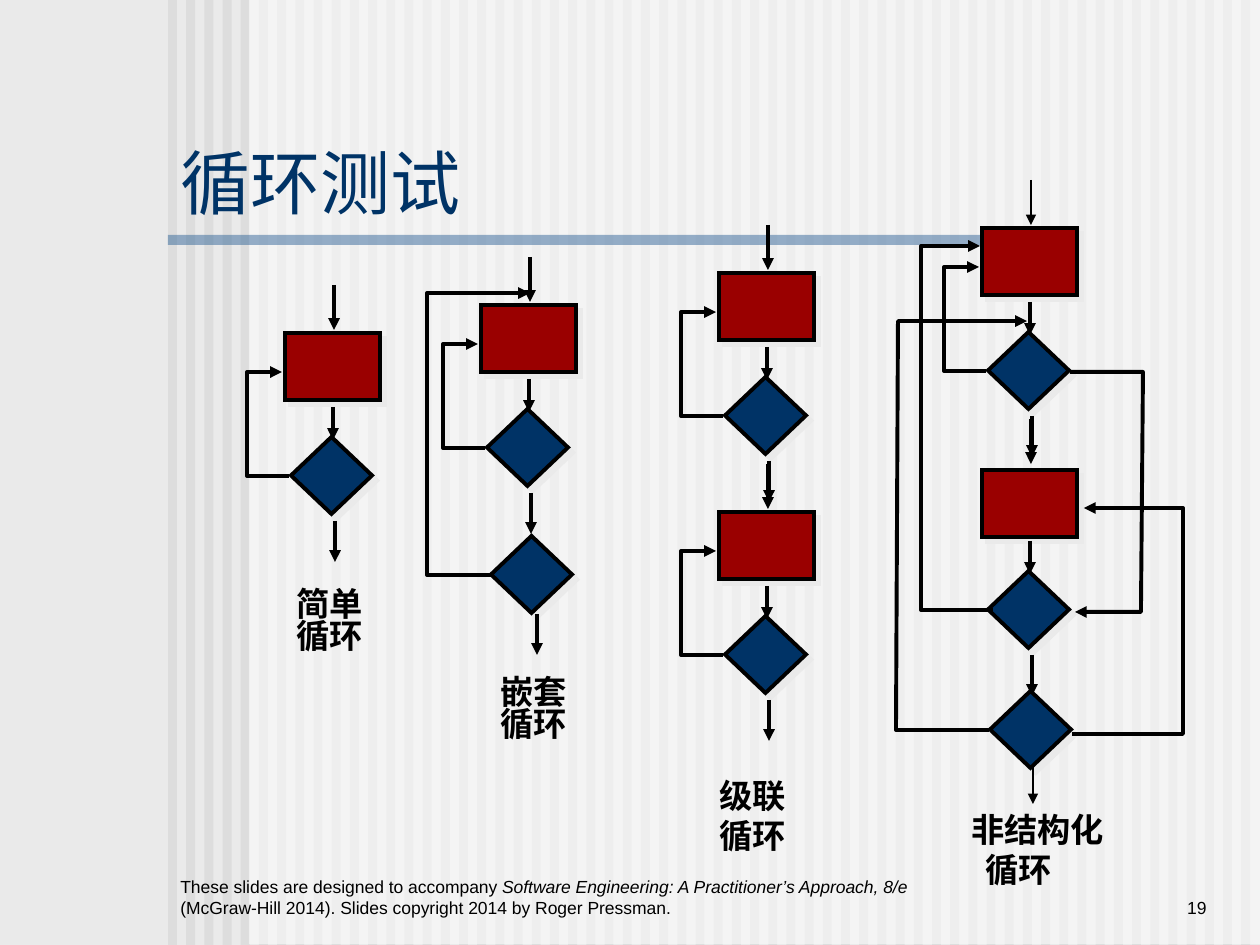
from lxml import etree
from pptx import Presentation
from pptx.dml.color import RGBColor
from pptx.enum.lang import MSO_LANGUAGE_ID
from pptx.enum.shapes import MSO_CONNECTOR, MSO_SHAPE
from pptx.enum.text import MSO_ANCHOR, PP_ALIGN
from pptx.oxml.ns import qn
from pptx.util import Pt

RECTANGLE, DIAMOND = MSO_SHAPE.RECTANGLE, MSO_SHAPE.DIAMOND
STRAIGHT = MSO_CONNECTOR.STRAIGHT
TOP, MIDDLE, BOTTOM = MSO_ANCHOR.TOP, MSO_ANCHOR.MIDDLE, MSO_ANCHOR.BOTTOM
LEFT, CENTER, RIGHT = PP_ALIGN.LEFT, PP_ALIGN.CENTER, PP_ALIGN.RIGHT
CHINESE = MSO_LANGUAGE_ID.SIMPLIFIED_CHINESE

BLACK = RGBColor(0x00, 0x00, 0x00)
WHITE = RGBColor(0xFF, 0xFF, 0xFF)
PALE_GRAY = RGBColor(0xEA, 0xEA, 0xEA)
STRIPE_GRAY = RGBColor(0xDD, 0xDD, 0xDD)
RULE_BLUE = RGBColor(0x33, 0x66, 0x99)
NAVY = RGBColor(0x00, 0x33, 0x66)
RED = RGBColor(0x9A, 0x00, 0x00)

EMU_PER_PX = 914400 / 126
WIDTH, HEIGHT = 1260, 945
THICK, THIN = 2.25, 1
FONT = "Arial"


def px(length):
    return round(length * EMU_PER_PX)


def add_text(slide, box, paragraphs, size=10, color=BLACK, bold=False, italic_run=None,
             align=LEFT, anchor=TOP, spacing=None, wrap=True, indents=None, language=None):
    """Each paragraph is a list of runs; indents gives one left margin per paragraph."""
    frame = slide.shapes.add_textbox(*map(px, box)).text_frame
    frame.word_wrap = wrap
    frame.vertical_anchor = anchor
    for index, runs in enumerate(paragraphs):
        paragraph = frame.add_paragraph() if index else frame.paragraphs[0]
        paragraph.alignment = align
        if spacing:
            paragraph.line_spacing = spacing
        if indents:
            paragraph._p.get_or_add_pPr().set("marL", str(px(indents[index])))
        for number, text in enumerate(runs):
            run = paragraph.add_run()
            run.text = text
            font = run.font
            font.name, font.size, font.bold = FONT, Pt(size), bold
            font.italic = number == italic_run
            font.color.rgb = color
            if language:
                font.language_id = language


def add_label(slide, box, lines, **options):
    add_text(slide, box, [[line] for line in lines], size=19, bold=True,
             language=CHINESE, **options)


def add_band(slide, box, color, opacity=100):
    shape = slide.shapes.add_shape(RECTANGLE, *map(px, box))
    shape.shadow.inherit = False
    shape.line.fill.background()
    shape.fill.solid()
    shape.fill.fore_color.rgb = color
    if opacity < 100:
        color_element = shape._element.spPr.find(".//" + qn("a:srgbClr"))
        etree.SubElement(color_element, qn("a:alpha"), val=str(opacity * 1000))


def add_node(slide, kind, box, color):
    """Outlined flowchart node with a hard pale shadow."""
    shape = slide.shapes.add_shape(kind, *map(px, box))
    shape.fill.solid()
    shape.fill.fore_color.rgb = color
    shape.line.color.rgb = BLACK
    shape.line.width = Pt(THICK)
    etree.SubElement(shape.line._get_or_add_ln(), qn("a:miter"), lim="800000")
    shape.shadow.inherit = False
    effects = shape._element.spPr.find(qn("a:effectLst"))
    shadow = etree.SubElement(effects, qn("a:outerShdw"), blurRad="0",
                              dist=str(Pt(4.2)), dir="2700000", algn="ctr", rotWithShape="0")
    etree.SubElement(shadow, qn("a:srgbClr"), val=str(PALE_GRAY))


def add_block(slide, left, top):
    add_node(slide, RECTANGLE, (left, top, 95, 67), RED)


def add_decision(slide, left, top):
    add_node(slide, DIAMOND, (left, top, 81, 77), NAVY)


def style_arrow(line, width):
    line.color.rgb = BLACK
    line.width = Pt(width)
    etree.SubElement(line._get_or_add_ln(), qn("a:tailEnd"), type="triangle")


def add_down_arrow(slide, x, top, bottom, width=THICK):
    connector = slide.shapes.add_connector(STRAIGHT, px(x), px(top), px(x), px(bottom))
    style_arrow(connector.line, width)
    etree.SubElement(connector._element.spPr, qn("a:effectLst"))


def add_path(slide, left, top, points):
    """Open bent arrow through points relative to left and top."""
    start, *rest = [(left + x, top + y) for x, y in points]
    builder = slide.shapes.build_freeform(*start, scale=EMU_PER_PX)
    builder.add_line_segments(rest, close=False)
    shape = builder.convert_to_shape()
    shape.fill.background()
    style_arrow(shape.line, THICK)
    shape.shadow.inherit = False


def add_loop(slide, left, top, entry_width=THICK, block_drop=0, feedback=True):
    """Block, decision, entry and exit arrows, and the way back to the block."""
    add_block(slide, left, top + block_drop)
    add_decision(slide, left + 6, top + 104)
    add_down_arrow(slide, left + 49, top - 48, top - 3, entry_width)
    add_down_arrow(slide, left + 48, top + 74, top + 107)
    add_down_arrow(slide, left + 50, top + 188, top + 229)
    if feedback:
        add_path(slide, left, top, [(4, 143), (-38, 143), (-38, 39), (-3, 39)])


def add_simple_loop(slide, left, top):
    add_loop(slide, left, top)
    add_label(slide, (left - 1, top + 252, 92, 76), ["简单", "循环"],
              align=CENTER, spacing=0.8, wrap=False)


def add_nested_loop(slide, left, top):
    add_loop(slide, left, top)
    add_decision(slide, left + 10, top + 231)
    add_down_arrow(slide, left + 56, top + 309, top + 350)
    add_path(slide, left, top, [(10, 270), (-54, 270), (-54, -12), (49, -12)])
    add_label(slide, (left + 7, top + 368, 92, 76), ["嵌套", "循环"],
              align=CENTER, spacing=0.8, wrap=False)


def add_concatenated_loops(slide, left, top):
    for offset in (0, 239):
        add_loop(slide, left, top + offset)
    add_label(slide, (left - 68, top + 496, 204, 92), ["级联", "循环"],
              align=CENTER, wrap=False)


def add_unstructured_loops(slide, left, top):
    add_loop(slide, left, top, entry_width=THIN)
    add_loop(slide, left, top + 239, block_drop=3, feedback=False)
    add_decision(slide, left + 8, top + 463)
    add_down_arrow(slide, left + 51, top + 536, top + 576, THIN)
    jumps = [
        [(11, 382), (-61, 382), (-61, 18), (-2, 18)],
        [(88, 144), (161, 144), (159, 384), (93, 384)],
        [(90, 506), (201, 506), (201, 280), (102, 280)],
        [(7, 502), (-86, 502), (-84, 93), (45, 93)],
    ]
    for points in jumps:
        add_path(slide, left, top, points)
    add_label(slide, (left - 38, top + 575, 189, 92), ["非结构化", "循环"], indents=(15, 29))


def add_backdrop(slide, left):
    slide.background.fill.solid()
    slide.background.fill.fore_color.rgb = PALE_GRAY
    for index in range(60):
        add_band(slide, (left + 18.19 * index, 0, 9, HEIGHT), STRIPE_GRAY)
    add_band(slide, (left + 81, 0, WIDTH - left - 81, HEIGHT - 1), WHITE, opacity=50)
    add_band(slide, (left, 235, 829, 10), RULE_BLUE, opacity=50)


def add_footer(slide, left, top):
    source = ["These slides are designed to accompany ",
              "Software Engineering: A Practitioner’s Approach, 8/e ",
              "(McGraw-Hill 2014). Slides copyright 2014 by Roger Pressman."]
    add_text(slide, (left, top, 756, 63), [source], italic_run=1, anchor=BOTTOM)
    add_text(slide, (left + 872, top, 179, 63), [["19"]], align=RIGHT, anchor=BOTTOM)


def main():
    presentation = Presentation()
    presentation.slide_width, presentation.slide_height = px(WIDTH), px(HEIGHT)
    slide = presentation.slides.add_slide(presentation.slide_layouts[6])

    add_backdrop(slide, 168)
    add_footer(slide, 168, 861)
    add_text(slide, (168, 147, 656, 69), [["循环测试"]], size=40, color=NAVY,
             anchor=MIDDLE, language=CHINESE)
    add_simple_loop(slide, 285, 333)
    add_nested_loop(slide, 481, 305)
    add_concatenated_loops(slide, 719, 273)
    add_unstructured_loops(slide, 982, 228)
    presentation.save("out.pptx")


if __name__ == "__main__":
    main()
